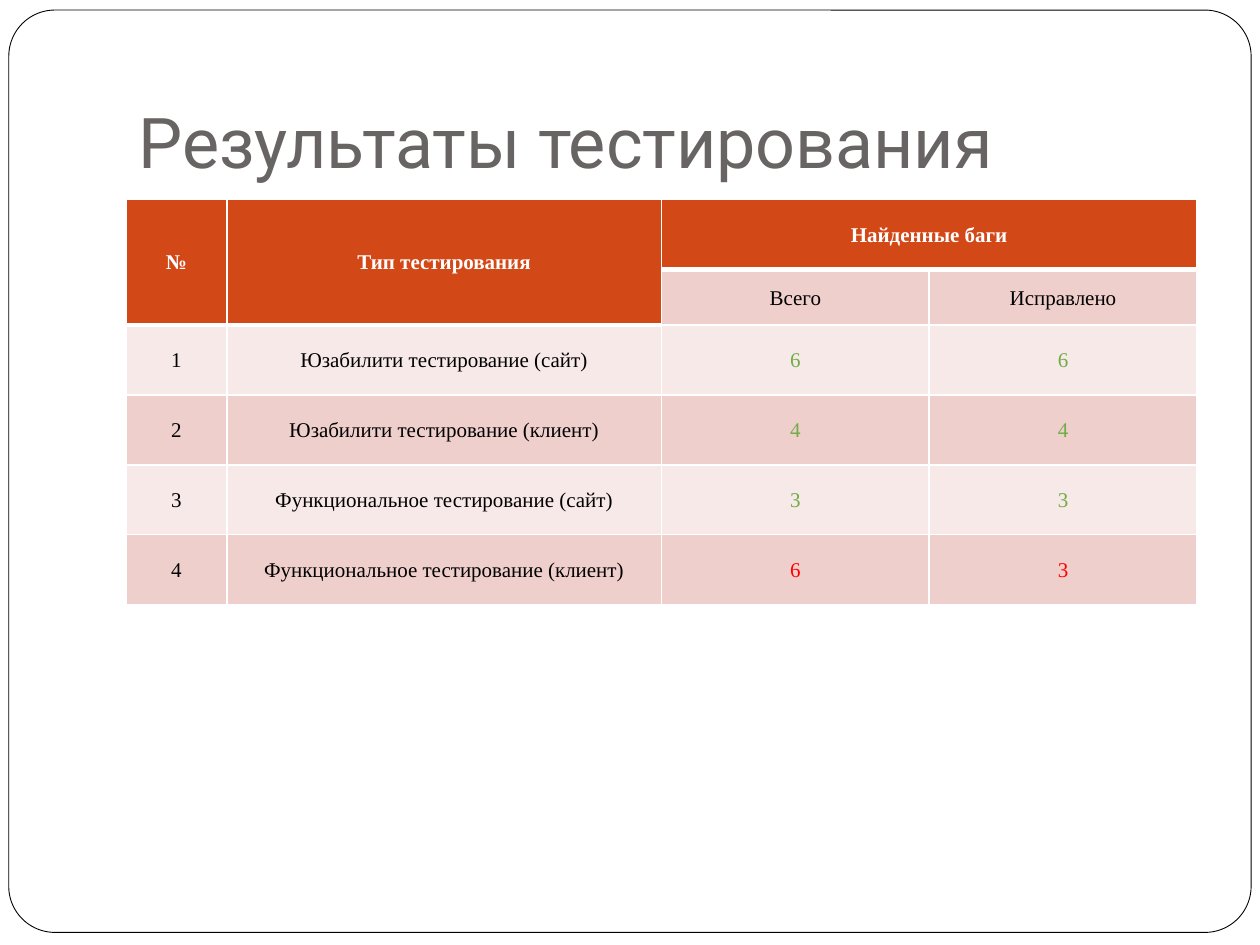
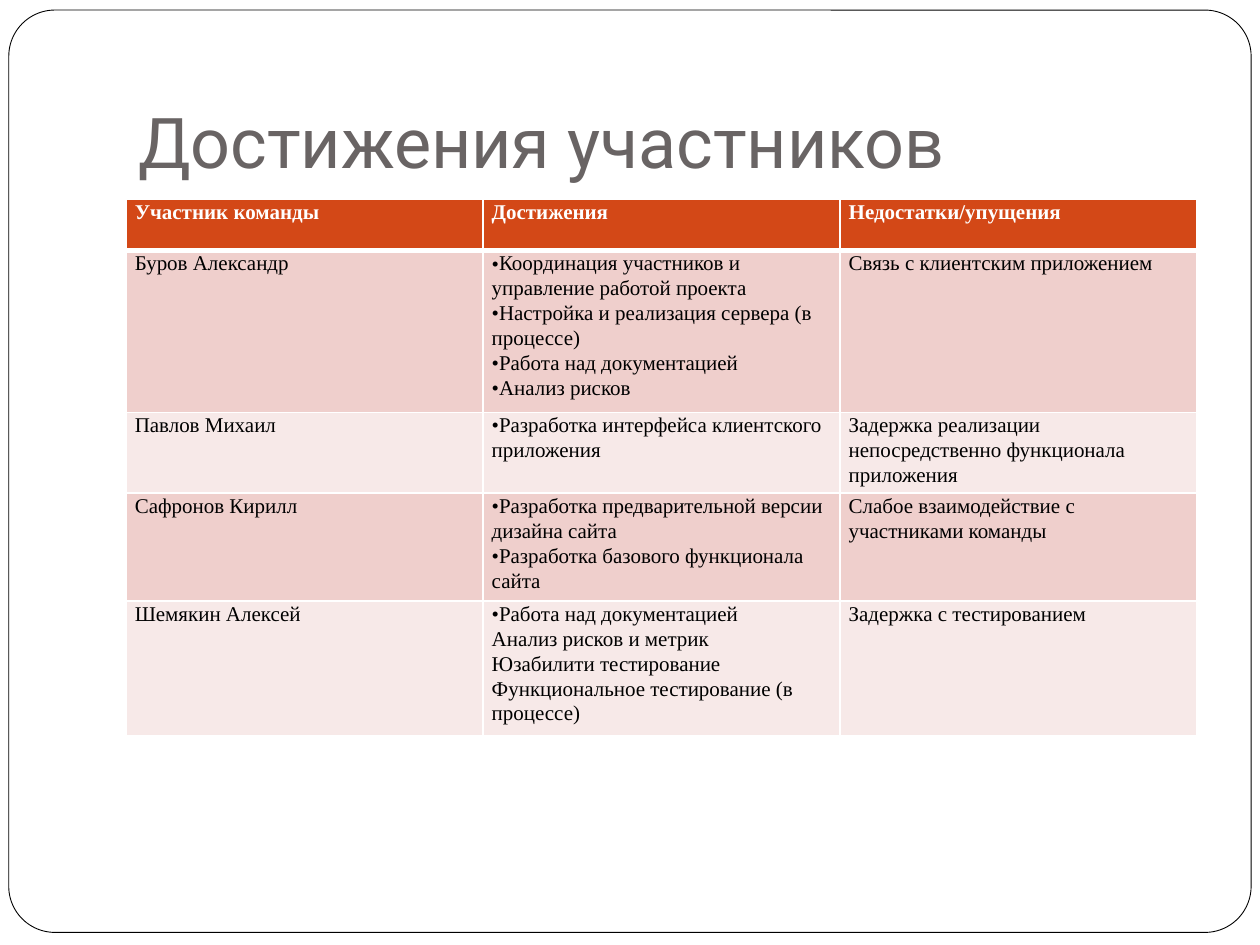
"""Builds two slides: testing results and team members' achievements."""
from lxml.etree import SubElement
from pptx import Presentation
from pptx.dml.color import RGBColor
from pptx.enum.shapes import MSO_SHAPE
from pptx.enum.text import MSO_ANCHOR, PP_ALIGN
from pptx.oxml.ns import qn
from pptx.util import Inches, Pt

COLORS = {
    "white": "FFFFFF", "black": "000000", "title": "696464", "header": "D34817",
    "dark_band": "EFCFCC", "light_band": "F7E9E8", "fixed": "70AD47", "open": "FF0000",
}
TITLE_FONT, TABLE_FONT = "Roboto", "Times New Roman"
BULLET = "•"
TABLE_WIDTH = 8.5

RESULTS = {
    "title": "Результаты тестирования",
    "columns": [0.8, 3.45] + [(TABLE_WIDTH - 0.8 - 3.45) / 2] * 2,
    "row_heights": [0.56, 0.44] + [2.22 / 4] * 4,
    "header_depths": [2, 2, 1, 1],
    "merges": [((0, 0), (1, 0)), ((0, 1), (1, 1)), ((0, 2), (0, 3))],
    "centered": True,
    "rows": [
        ["№", "Тип тестирования", "Найденные баги", ""],
        ["", "", "Всего", "Исправлено"],
        ["1", "Юзабилити тестирование (сайт)", "6", "6"],
        ["2", "Юзабилити тестирование (клиент)", "4", "4"],
        ["3", "Функциональное тестирование (сайт)", "3", "3"],
        ["4", "Функциональное тестирование (клиент)", "6", "3"],
    ],
}
ACHIEVEMENTS = {
    "title": "Достижения участников",
    "columns": [TABLE_WIDTH / 3] * 3,
    "row_heights": [0.41] * 5,
    "header_depths": [1] * 3,
    "merges": [],
    "centered": False,
    "rows": [
        ["Участник команды", "Достижения", "Недостатки/упущения"],
        ["Буров Александр",
         "•Координация участников и управление работой проекта\n"
         "•Настройка и реализация сервера (в процессе)\n"
         "•Работа над документацией\n"
         "•Анализ рисков",
         "Связь с клиентским приложением"],
        ["Павлов Михаил",
         "•Разработка интерфейса клиентского приложения",
         "Задержка реализации непосредственно функционала приложения"],
        ["Сафронов Кирилл",
         "•Разработка предварительной версии дизайна сайта\n"
         "•Разработка базового функционала сайта",
         "Слабое взаимодействие с участниками команды"],
        ["Шемякин Алексей",
         "•Работа над документацией\n"
         "Анализ рисков и метрик\n"
         "Юзабилити тестирование\n"
         "Функциональное тестирование (в процессе)",
         "Задержка с тестированием"],
    ],
}


def color(name):
    return RGBColor.from_string(COLORS[name])


def style_font(font, face, size, color_name, bold=False):
    font.name, font.size, font.bold = face, Pt(size), bold
    font.color.rgb = color(color_name)


def add_frame(slide):
    frame = slide.shapes.add_shape(
        MSO_SHAPE.ROUNDED_RECTANGLE, Inches(0.07), Inches(0.08), Inches(9.86), Inches(7.32))
    frame.adjustments[0] = 0.05
    frame.shadow.inherit = False
    frame.fill.solid()
    frame.fill.fore_color.rgb = color("white")
    frame.line.color.rgb = color("black")
    frame.line.width = Pt(0.5)


def add_title(slide, title):
    text = slide.shapes.add_textbox(
        Inches(1), Inches(0.3), Inches(TABLE_WIDTH), Inches(1.25)).text_frame
    text.word_wrap = True
    text.vertical_anchor = MSO_ANCHOR.BOTTOM
    text.margin_bottom = Inches(0.1)
    text.text = title
    style_font(text.paragraphs[0].font, TITLE_FONT, 40, "title")


def add_borders(cell, top, bottom):
    properties = cell._tc.get_or_add_tcPr()
    for side, width in (("L", 1), ("R", 1), ("T", top), ("B", bottom)):
        border = SubElement(properties, qn(f"a:ln{side}"), w=str(Pt(width)))
        fill = SubElement(border, qn("a:solidFill"))
        SubElement(fill, qn("a:srgbClr"), val=COLORS["white"])


def fill_cell(cell, content, text_color, is_header, centered):
    cell.margin_left = cell.margin_right = Inches(0.07)
    cell.margin_top = cell.margin_bottom = 0
    cell.vertical_anchor = MSO_ANCHOR.MIDDLE if centered else MSO_ANCHOR.TOP
    cell.text = content.replace(BULLET, "")
    for paragraph, line in zip(cell.text_frame.paragraphs, content.split("\n")):
        paragraph.alignment = PP_ALIGN.CENTER if centered else PP_ALIGN.LEFT
        paragraph.line_spacing = 1.07
        if line.startswith(BULLET):
            properties = paragraph._p.get_or_add_pPr()
            SubElement(properties, qn("a:buFont"), typeface=TABLE_FONT)
            SubElement(properties, qn("a:buChar"), char=BULLET)
        for run in paragraph.runs:
            style_font(run.font, TABLE_FONT, 12, text_color, is_header)
        SubElement(paragraph._p, qn("a:endParaRPr"), sz="1200")


def text_color_for(row, column, is_header):
    if is_header:
        return "white"
    if column >= 2 and row[column].isdigit():
        return "fixed" if row[2] == row[3] else "open"
    return "black"


def add_grid(slide, content):
    rows, columns, heights = content["rows"], content["columns"], content["row_heights"]
    table = slide.shapes.add_table(
        len(rows), len(columns), Inches(1), Inches(1.58),
        Inches(TABLE_WIDTH), Inches(sum(heights))).table
    for column, width in zip(table.columns, columns):
        column.width = Inches(width)
    for row, height in zip(table.rows, heights):
        row.height = Inches(height)
    for r, row in enumerate(rows):
        band = "dark_band" if r % 2 else "light_band"
        for c, depth in enumerate(content["header_depths"]):
            cell, is_header = table.cell(r, c), r < depth
            add_borders(cell, top=3 if r == depth else 1, bottom=3 if is_header else 1)
            cell.fill.solid()
            cell.fill.fore_color.rgb = color("header" if is_header else band)
            fill_cell(cell, row[c], text_color_for(row, c, is_header),
                      is_header, content["centered"])
    for first, last in content["merges"]:
        table.cell(*first).merge(table.cell(*last))


def main():
    deck = Presentation()
    deck.slide_width, deck.slide_height = Inches(10), Inches(7.5)
    for content in (RESULTS, ACHIEVEMENTS):
        slide = deck.slides.add_slide(deck.slide_layouts[6])
        add_frame(slide)
        add_title(slide, content["title"])
        add_grid(slide, content)
    deck.save("out.pptx")


if __name__ == "__main__":
    main()
